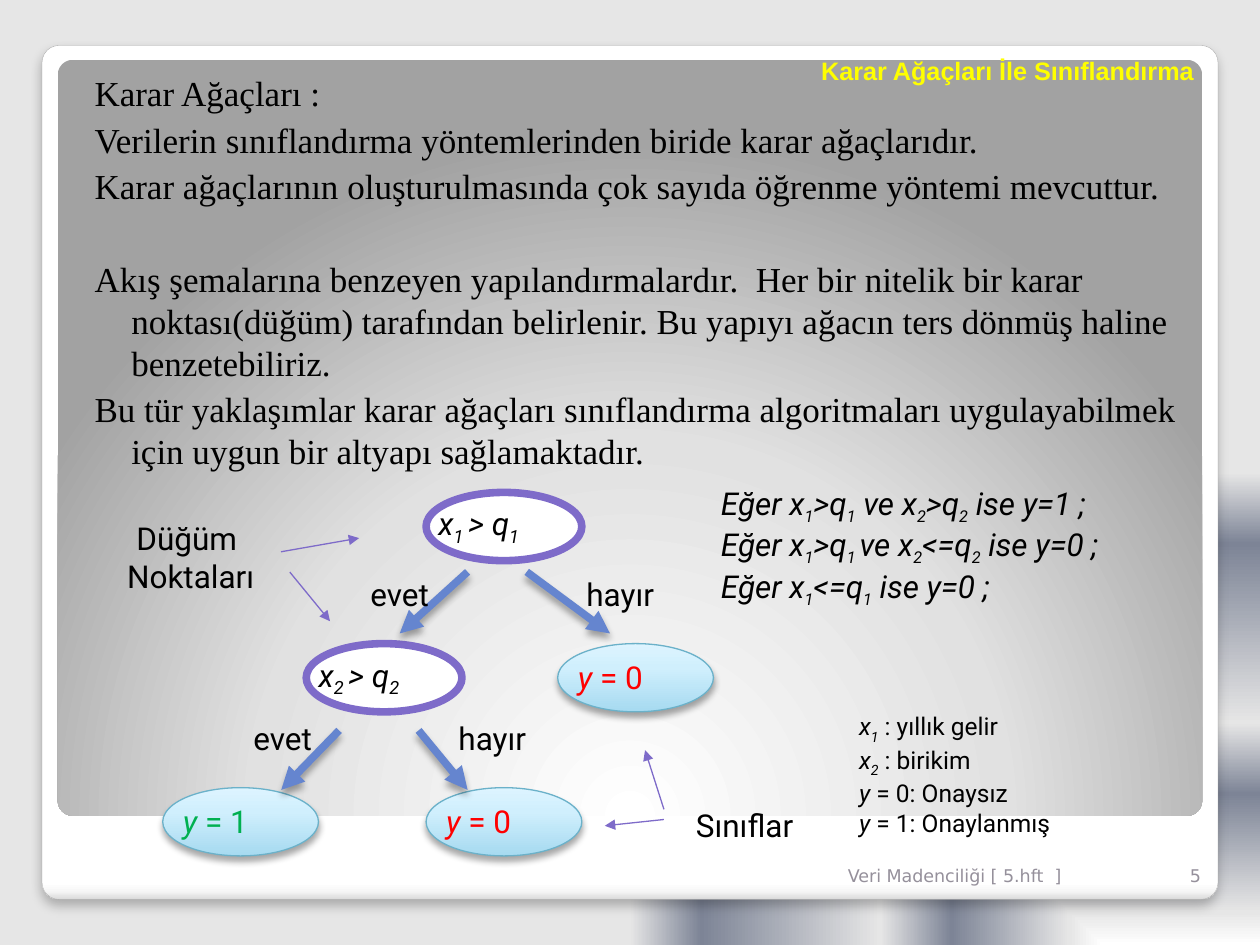
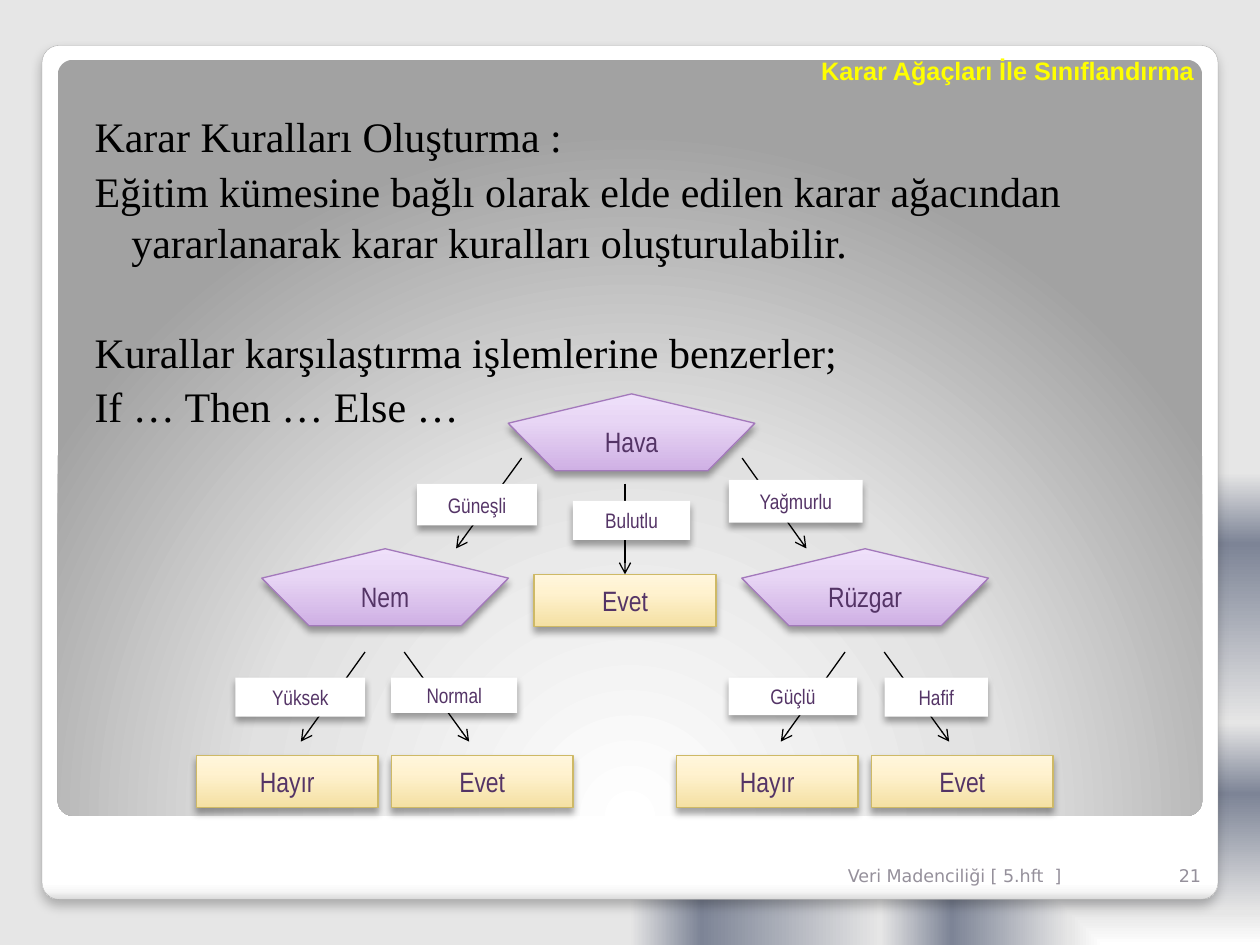
import pptx
import pptx.util
import pptx.dml.color
import pptx.enum.shapes
import pptx.enum.text
import pptx.oxml.ns
import lxml.etree

Pt = pptx.util.Pt
RGB = pptx.dml.color.RGBColor
SHAPE = pptx.enum.shapes.MSO_SHAPE
ALIGN = pptx.enum.text.PP_ALIGN
ANCHOR = pptx.enum.text.MSO_ANCHOR
qn = pptx.oxml.ns.qn

# Colours
BLACK = RGB(0, 0, 0)
WHITE = RGB(255, 255, 255)
YELLOW = RGB(255, 255, 0)
GREY = RGB(0x95, 0x90, 0x9B)
EDGE = RGB(0xA4, 0xA4, 0xA4)
VIOLET = RGB(0x7E, 0x6B, 0xC9)
BLUE = RGB(0x65, 0x85, 0xCF)
RED = RGB(255, 0, 0)
GREEN = RGB(0, 0xB0, 0x50)
AQUA = RGB(0x6B, 0xB1, 0xC9)
LILAC = RGB(0xA3, 0x79, 0xBB)
GOLD = RGB(0xCE, 0xB9, 0x66)
PLUM = RGB(0x54, 0x34, 0x66)


def stops(**table):
    return [(int(k[1:]), RGB.from_string(v)) for k, v in table.items()]


# Gradients: position in percent, colour
BACK = stops(p0="FFFFFF", p7="E6E6E6", p32="7D8496", p47="E6E6E6",
             p85="7D8496", p100="E6E6E6")
CARD = stops(p0="FFFFFF", p98="FFFFFF", p99="F7F7F7", p100="DADADA")
GLOW = stops(p0="FFFFFF", p55="E1E1E1", p100="A2A2A2")
SKY = stops(p0="A6DAF0", p65="D0EFFD", p100="DDF4FF")
MAUVE = stops(p0="CFB0E4", p65="E8D6F5", p100="EFE0FA")
CREAM = stops(p0="F4E0A3", p65="FFF2CF", p100="FFF6DD")

SOFT = (35, 4, 3)  # shadow: opacity, blur, distance
SERIF, SANS, BODY, SLIM = "Times New Roman", "Arial", "Roboto", "Arial Narrow"


def sub(node, tag, **attrs):
    return lxml.etree.SubElement(node, qn(tag), {k: str(v) for k, v in attrs.items()})


def tint(node, color, **mods):
    clr = sub(node, "a:srgbClr", val=color)
    for name, val in mods.items():
        sub(clr, "a:" + name, val=val)


def blend(owner, fill, marks, angle=270, kind=None, focus=()):
    """Fill with a linear gradient, or one of the given kind around a focus."""
    fill.gradient()
    grad = next(owner.element.iter(qn("a:gradFill")))
    for child in list(grad):
        grad.remove(child)
    group = sub(grad, "a:gsLst")
    for pos, color in marks:
        tint(sub(group, "a:gs", pos=pos * 1000), color)
    if kind:
        way = sub(grad, "a:path", path=kind)
        sub(way, "a:fillToRect", **{k: v * 1000 for k, v in zip("ltrb", focus)})
    else:
        sub(grad, "a:lin", ang=angle * 60000, scaled=0)


def shade(item, shadow):
    """Set the shadow, or none at all."""
    props = item.element.spPr
    node = props.find(qn("a:effectLst"))
    if node is None:
        node = sub(props, "a:effectLst")
    if shadow:
        alpha, blur, dist = shadow
        drop = sub(node, "a:outerShdw", blurRad=Pt(blur), dist=Pt(dist),
                   dir=5400000, rotWithShape=0)
        tint(drop, BLACK, alpha=alpha * 1000)


def form(slide, kind, box, fill, line=None, width=0.75, shadow=None):
    shape = slide.shapes.add_shape(kind, *map(Pt, box))
    shape.shadow.inherit = False
    if isinstance(fill, list):
        blend(shape, shape.fill, fill)
    else:
        shape.fill.solid()
        shape.fill.fore_color.rgb = fill
    if line is None:
        shape.line.fill.background()
    else:
        shape.line.color.rgb = line
        shape.line.width = Pt(width)
    shade(shape, shadow)
    return shape


def arrow(slide, ends, color, width=0.75, head="triangle", shadow=None, goal=None):
    kind = pptx.enum.shapes.MSO_CONNECTOR.STRAIGHT
    line = slide.shapes.add_connector(kind, *map(Pt, ends))
    line.line.color.rgb = color
    line.line.width = Pt(width)
    sub(line.element.spPr.find(qn("a:ln")), "a:tailEnd", type=head)
    shade(line, shadow)
    if goal is not None:
        line.end_connect(goal, 0)


def style(run, font, size, color, bold=False, italic=False):
    run.font.name, run.font.size = font, Pt(size)
    run.font.bold, run.font.italic = bold, italic
    run.font.color.rgb = color


def fill_text(shape, text, font, size, color, bold=False,
              align=ALIGN.LEFT, anchor=ANCHOR.MIDDLE, wrap=True):
    frame = shape.text_frame
    frame.text = text
    frame.word_wrap, frame.vertical_anchor = wrap, anchor
    for para in frame.paragraphs:
        para.alignment = align
        for run in para.runs:
            style(run, font, size, color, bold)
    return frame


def label(slide, box, *args, **more):
    shape = slide.shapes.add_textbox(*map(Pt, box))
    return fill_text(shape, *args, **more)


def formula(slide, box, lines, size, color=BLACK, low=None, **more):
    """Italic up to the bar, upright after it; _n_ is a subscript."""
    frame = label(slide, box, "", BODY, size, color, **more)
    for i, text in enumerate(lines):
        para = frame.add_paragraph() if i else frame.paragraphs[0]
        lean, _, plain = text.partition("|")
        for part, italic in ((lean, True), (plain, False)):
            for j, bit in enumerate(part.split("_")):
                if not bit:
                    continue
                run = para.add_run()
                run.text = bit
                style(run, BODY, (low or size) if j % 2 else size, color, italic=italic)
                if j % 2:
                    run._r.get_or_add_rPr().set("baseline", "-25000")


def base(deck, number):
    """Background, card, title and footer."""
    slide = deck.slides.add_slide(deck.slide_layouts[6])
    blend(slide, slide.background.fill, BACK, kind="rect", focus=(100, 100, 0, 0))
    card = form(slide, SHAPE.ROUNDED_RECTANGLE, (24, 26, 672, 488), WHITE,
                EDGE, 0.16, (25, 6, 4))
    blend(card, card.fill, CARD, angle=90)
    panel = form(slide, SHAPE.ROUNDED_RECTANGLE, (33, 34.2, 654, 432), WHITE)
    blend(panel, panel.fill, GLOW, kind="circle", focus=(50, 175, 50, -75))
    for shape in (card, panel):
        shape.adjustments[0] = 0.02
    label(slide, (45, 30.2, 644.4, 22.3), "Karar Ağaçları İle Sınıflandırma",
          SANS, 14.4, YELLOW, bold=True, align=ALIGN.RIGHT, anchor=ANCHOR.BOTTOM)
    foot = dict(font="DejaVu Sans", size=10, color=GREY, anchor=ANCHOR.BOTTOM)
    label(slide, (477.4, 481, 180, 28.8), "Veri Madenciliği [ 5.hft  ]", **foot)
    label(slide, (657.4, 481, 36, 28.8), str(number), align=ALIGN.RIGHT, **foot)
    return slide


def prose(slide, box, lines, size, gap, wide):
    """Hanging paragraphs; the one numbered gap stands further off."""
    frame = label(slide, box, "\n".join(lines), SERIF, size, BLACK, anchor=ANCHOR.TOP)
    frame.margin_left, frame.margin_top = Pt(14.4), Pt(7.2)
    for i, para in enumerate(frame.paragraphs):
        para.space_before = Pt(wide if i == gap else 2.5)
        props = para._p.get_or_add_pPr()
        props.set("marL", str(Pt(21)))
        props.set("indent", str(Pt(-21)))


def tree(slide, box):
    """Decision tree over x and y."""
    left, top = box
    nodes = [(150.5, 0, "x_1 _> q_1_", None), (82, 86.4, "x_2 _> q_2_", None),
             (225.7, 86.4, " y| = 0", RED), (0, 168.7, " y| = 1", GREEN),
             (150.5, 168.7, " y| = 0", RED)]
    for x, y, text, color in nodes:
        spot = (left + x, top + y, 89, 39)
        if color is None:
            form(slide, SHAPE.OVAL, spot, WHITE, VIOLET, 4.33)
        else:
            form(slide, SHAPE.OVAL, spot, SKY, AQUA, shadow=SOFT)
        formula(slide, (left + x, top + y + 4.3, 75, 29.5), [text], 18,
                color or BLACK, wrap=False)
    for x, y, x2, y2 in [(174.2, 45.4, 135.4, 80.6), (208, 45.4, 255.6, 80.6),
                         (100.8, 136, 67.7, 170), (146.2, 136, 174.2, 170)]:
        arrow(slide, (left + x, top + y, left + x2, top + y2), BLUE, 4.33, shadow=SOFT)
    for x, y, w, text in [(109.4, 43.2, 52, "evet"), (230.4, 43.2, 62, "hayır"),
                          (42.5, 125.3, 52, "evet"), (157.3, 125.3, 62, "hayır")]:
        label(slide, (left + x, top + y, w, 29.5), text, BODY, 18, BLACK,
              align=ALIGN.CENTER, wrap=False)


def hints(slide, box):
    """Names of the tree's parts, with thin arrows."""
    left, top = box
    for x, y, w, h, text in [(0, 0.4, 100, 51, "Düğüm \nNoktaları"),
                             (326, 164.6, 81, 29.5, "Sınıflar")]:
        label(slide, (left + x, top + y, w, h), text, BODY, 18, BLACK,
              align=ALIGN.CENTER, wrap=False)
    for x, y, x2, y2 in [(320.4, 176, 286.6, 179.6), (320.4, 170.2, 309.6, 136.4),
                         (101.6, 23, 146.2, 15.2), (106.6, 34.6, 129.6, 62.7)]:
        arrow(slide, (left + x, top + y, left + x2, top + y2), VIOLET)


def block(slide, kind, box, text, fill, line=None, size=16):
    shape = form(slide, kind, box, fill, line, shadow=SOFT)
    fill_text(shape, text, SLIM, size, PLUM, align=ALIGN.CENTER)
    return shape


def hub(slide, x, y, text):
    block(slide, SHAPE.REGULAR_PENTAGON, (x, y, 141, 44), text, MAUVE, LILAC)


def leaf(slide, x, y, text):
    return block(slide, SHAPE.RECTANGLE, (x, y, 103.9, 29.7), text, CREAM, GOLD)


def tag(slide, box, text):
    block(slide, SHAPE.RECTANGLE, box, text, WHITE, size=12)


def branch(slide, box, name, tags):
    """A hub with two leaves below."""
    left, top = box
    hub(slide, left, top, name)
    for x, text in ((-37.4, "Hayır"), (74, "Evet")):
        leaf(slide, left + x, top + 118, text)
    for x, x2 in ((59, 22.3), (81.4, 118.5)):
        arrow(slide, (left + x, top + 59, left + x2, top + 110.2), BLACK, head="arrow")
    for x, w, h, text in tags:
        tag(slide, (left + x, top + 73.6, w, h), text)


def weather(slide, box):
    """Weather tree: root, one direct leaf, two branches."""
    left, top = box
    hub(slide, left + 178.4, top, "Hava")
    branch(slide, (left + 37.6, top + 88.5), "Nem",
           [(-15.1, 74.2, 22.3, "Yüksek"), (74, 72, 20.2, "Normal")])
    branch(slide, (left + 311.9, top + 88.5), "Rüzgar",
           [(-7.5, 73.4, 21.4, "Güçlü"), (81.6, 59, 22.3, "Hafif")])
    yes = leaf(slide, left + 193.2, top + 103.1, "Evet")
    for x, y, x2, y2, goal in [(186.1, 36.7, 148.6, 88.3, None),
                               (312.1, 36.7, 348.8, 88.3, None),
                               (245.15, 51.3, 245.15, 103.1, yes)]:
        arrow(slide, (left + x, top + y, left + x2, top + y2), BLACK,
              head="arrow", goal=goal)
    for x, y, w, h, text in [(126.4, 51.4, 68.4, 23.8, "Güneşli"),
                             (215.4, 61.1, 67, 22.3, "Bulutlu"),
                             (304.5, 49.1, 76.5, 24.5, "Yağmurlu")]:
        tag(slide, (left + x, top + y, w, h), text)


def main():
    deck = pptx.Presentation()
    deck.slide_width, deck.slide_height = Pt(720), Pt(540)

    # Decision trees
    slide = base(deck, 5)
    prose(slide, (39.6, 33.8, 644.4, 455.8), [
        "Karar Ağaçları :",
        "Verilerin sınıflandırma yöntemlerinden biride karar ağaçlarıdır.",
        "Karar ağaçlarının oluşturulmasında çok sayıda öğrenme yöntemi mevcuttur.",
        "Akış şemalarına benzeyen yapılandırmalardır.  Her bir nitelik bir karar "
        "noktası(düğüm) tarafından belirlenir. Bu yapıyı ağacın ters dönmüş haline "
        "benzetebiliriz.",
        "Bu tür yaklaşımlar karar ağaçları sınıflandırma algoritmaları uygulayabilmek "
        "için uygun bir altyapı sağlamaktadır."], 20, 3, 29)
    formula(slide, (483.8, 405, 205.2, 74.9), [
        "x_1_| : yıllık gelir", "x_2_| : birikim",
        "y| = 0: Onaysız", "y| = 1: Onaylanmış"], 14)
    tree(slide, (93, 281.4))
    hints(slide, (59, 292.3))
    formula(slide, (404.9, 272.8, 281.5, 78), [
        "Eğer x_1_>q_1_ ve x_2_>q_2_ ise y=1 ;",
        "Eğer x_1_>q_1 _ve x_2_<=q_2_ ise y=0 ;",
        "Eğer x_1_<=q_1_ ise y=0 ;"], 18, low=16, anchor=ANCHOR.TOP)

    # Decision rules
    slide = base(deck, 21)
    prose(slide, (39.6, 56.2, 644.4, 433.4), [
        "Karar Kuralları Oluşturma :",
        "Eğitim kümesine bağlı olarak elde edilen karar ağacından yararlanarak "
        "karar kuralları oluşturulabilir.",
        "Kurallar karşılaştırma işlemlerine benzerler;",
        "If … Then … Else …"], 24, 2, 34)
    weather(slide, (112, 225.1))
    deck.save("out.pptx")


if __name__ == "__main__":
    main()
